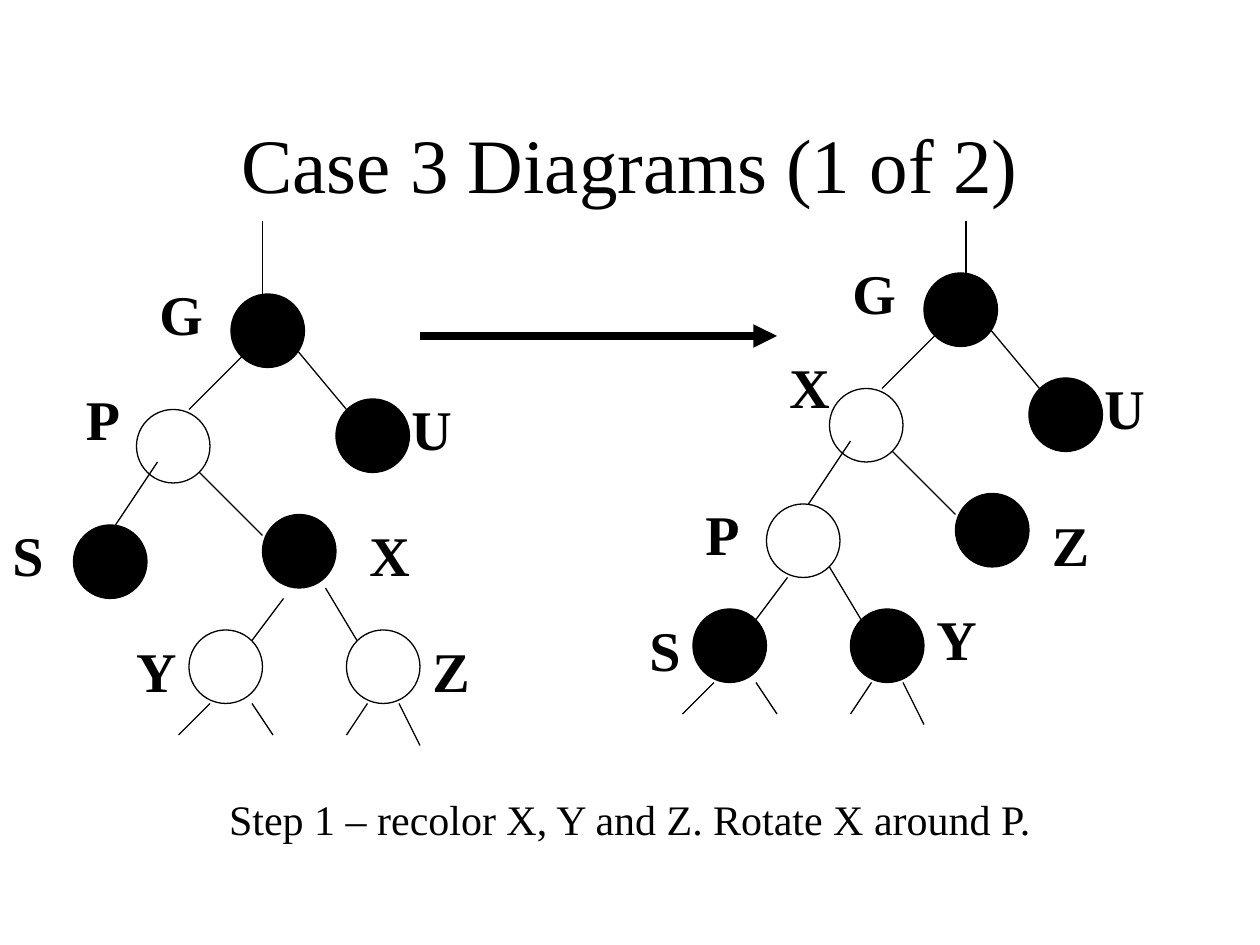
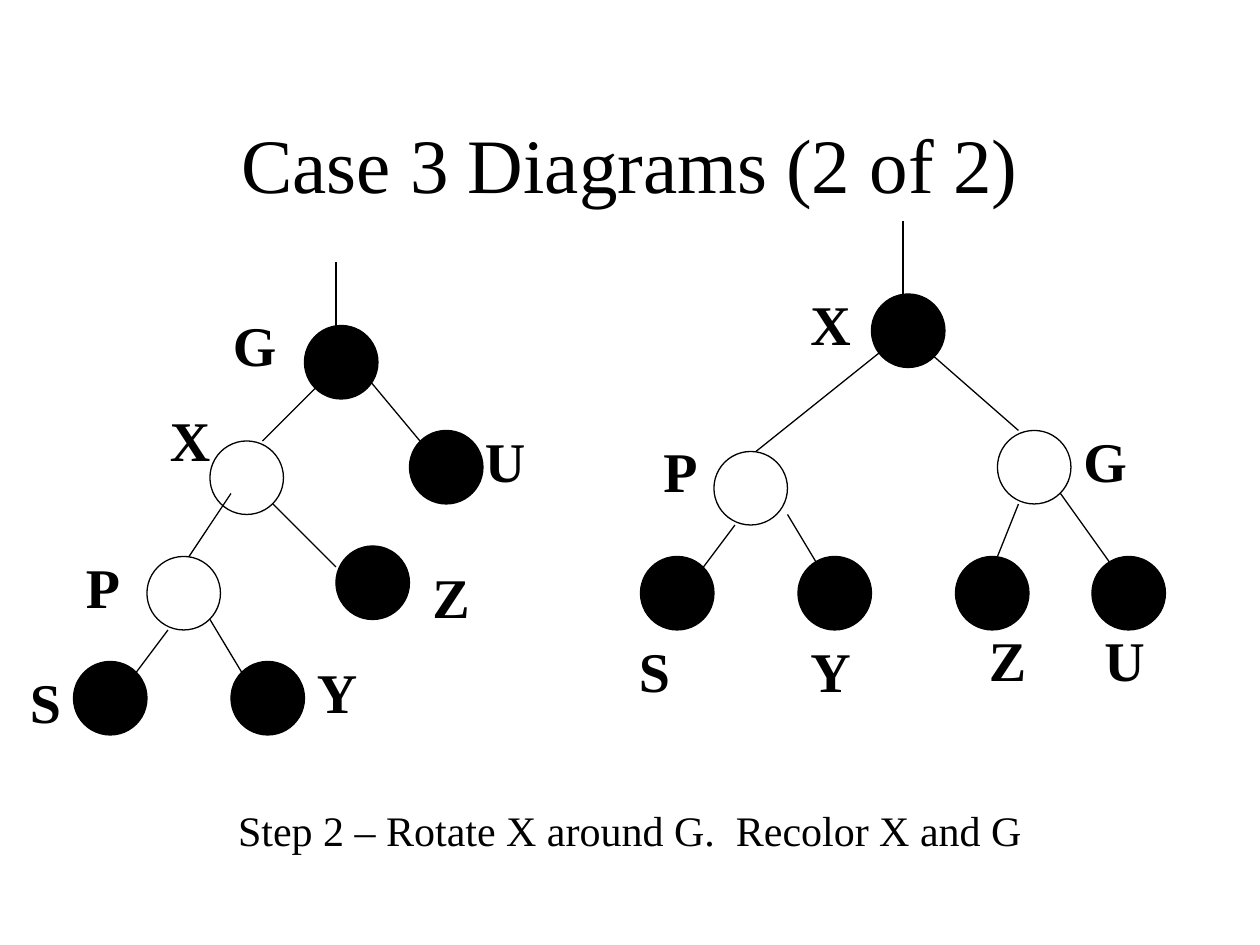
from lxml import etree
from pptx import Presentation
from pptx.dml.color import RGBColor
from pptx.enum import shapes, text
from pptx.oxml import ns
from pptx.util import Pt

BLACK = RGBColor(0x00, 0x00, 0x00)
WHITE = RGBColor(0xFF, 0xFF, 0xFF)
FONT = "Times New Roman"
LEFT, CENTER, RIGHT = text.PP_ALIGN.LEFT, text.PP_ALIGN.CENTER, text.PP_ALIGN.RIGHT
TITLE = {"size": Pt(44), "bold": False}
CAPTION = {"size": Pt(24), "bold": False}
LABEL = {"size": Pt(32), "bold": True}
NODE_SIZE = 7
LABEL_HEIGHT = 7.7

presentation = Presentation()
presentation.slide_width = Pt(720)
presentation.slide_height = Pt(540)
# The slide is a grid of 120 columns by 90 rows of square cells.
CELL = presentation.slide_width // 120


def add_text(slide, words, box, font, align, space_before=0):
    """Place one paragraph in a box given as column, row, columns, rows."""
    shape = slide.shapes.add_textbox(*(round(side * CELL) for side in box))
    frame = shape.text_frame
    frame.word_wrap = True
    paragraph = frame.paragraphs[0]
    paragraph.alignment = align
    paragraph.space_before = Pt(space_before)
    run = paragraph.add_run()
    run.text = words
    run.font.name = FONT
    run.font.color.rgb = BLACK
    for name, value in font.items():
        setattr(run.font, name, value)
    return frame


def add_line(slide, ends, width=0.75, arrow=False):
    """Draw a line from (column, row) to (column, row)."""
    line = slide.shapes.add_connector(
        shapes.MSO_CONNECTOR.STRAIGHT, *(end * CELL for end in ends))
    line.line.color.rgb = BLACK
    line.line.width = Pt(width)
    properties = line.element.spPr
    if arrow:
        outline = properties.find(ns.qn("a:ln"))
        etree.SubElement(outline, ns.qn("a:tailEnd"), type="triangle")
    etree.SubElement(properties, ns.qn("a:effectLst"))


# Nodes: name, fill, column, row, then label column, row and width.
# Edges: from column, row to column, row.
START_TREE = {
    "nodes": [
        ("G", BLACK, 22, 28, 14, 26, 7),
        ("P", WHITE, 13, 39, 7, 36, 7),
        ("U", BLACK, 32, 38, 38, 37, 7),
        ("S", BLACK, 7, 50, 0, 49, 7),
        ("X", BLACK, 25, 49, 34, 49, 6),
        ("Y", WHITE, 18, 60, 8, 60, 10),
        ("Z", WHITE, 33, 60, 40, 60, 7),
    ],
    "edges": [
        (18, 39, 23, 34), (28, 33, 33, 39), (11, 50, 15, 44),
        (19, 45, 25, 51), (27, 57, 24, 61), (31, 56, 34, 61),
    ],
}
ROTATED_TREE = {
    "nodes": [
        ("G", BLACK, 88, 26, 80, 24, 7),
        ("X", WHITE, 79, 37, 74, 33, 6),
        ("U", BLACK, 98, 36, 104, 35, 7),
        ("P", WHITE, 73, 48, 66, 47, 7),
        ("Z", BLACK, 91, 47, 99, 48, 7),
        ("S", BLACK, 66, 58, 56, 58, 10),
        ("Y", BLACK, 81, 58, 88, 57, 7),
    ],
    "edges": [
        (84, 37, 89, 32), (94, 31, 99, 37), (77, 48, 81, 42),
        (85, 43, 91, 49), (75, 55, 72, 59), (79, 54, 82, 59),
    ],
}
FINAL_TREE = {
    "nodes": [
        ("X", BLACK, 83, 28, 76, 27, 7),
        ("P", WHITE, 68, 43, 62, 41, 6),
        ("G", WHITE, 95, 41, 102, 40, 7),
        ("S", BLACK, 61, 53, 55, 60, 10),
        ("Y", BLACK, 76, 53, 76, 60, 7),
        ("Z", BLACK, 91, 53, 93, 59, 7),
        ("U", BLACK, 104, 53, 104, 59, 7),
    ],
    "edges": [
        (72, 43, 87, 31), (97, 41, 89, 34), (70, 50, 67, 54),
        (75, 49, 78, 54), (97, 48, 95, 53), (101, 47, 106, 54),
    ],
}
# Open branches below a pair of leaves, measured from the left leaf.
STUBS = [(2, 7, -1, 10), (6, 7, 8, 10), (17, 7, 15, 10), (20, 7, 22, 11)]

# Each tree is placed with its shift, its stem and the left leaf with stubs.
SLIDES = [
    {
        "title": "Case 3 Diagrams (1 of 2)",
        "caption": "Step 1 – recolor X, Y and Z. Rotate X around P.",
        "caption_box": (8, 75, 104, 6),
        "trees": [
            (START_TREE, (0, 0), (25, 28, 25, 21), (18, 60)),
            (ROTATED_TREE, (0, 0), (92, 26, 92, 21), (66, 58)),
        ],
        "arrow": (40, 32, 74, 32),
    },
    {
        "title": "Case 3 Diagrams (2 of 2)",
        "caption": "Step 2 – Rotate X around G.  Recolor X and G",
        "caption_box": (5, 76, 110, 6),
        "trees": [
            (ROTATED_TREE, (-59, 5), (32, 33, 32, 25), None),
            (FINAL_TREE, (0, 0), (86, 28, 86, 21), None),
        ],
        "arrow": None,
    },
]

for content in SLIDES:
    slide = presentation.slides.add_slide(presentation.slide_layouts[6])
    title = add_text(slide, content["title"], (9, 8, 102, 15), TITLE, CENTER)
    title.vertical_anchor = text.MSO_ANCHOR.MIDDLE

    for tree, (right, down), stem, stub_leaf in content["trees"]:
        for name, fill, column, row, label_column, label_row, width in tree["nodes"]:
            node = slide.shapes.add_shape(
                shapes.MSO_SHAPE.OVAL, (column + right) * CELL, (row + down) * CELL,
                NODE_SIZE * CELL, NODE_SIZE * CELL)
            node.shadow.inherit = False
            node.fill.solid()
            node.fill.fore_color.rgb = fill
            node.line.color.rgb = BLACK
            node.line.width = Pt(0.75)
            label_box = (label_column + right, label_row + down, width, LABEL_HEIGHT)
            label = add_text(slide, name, label_box, LABEL,
                             RIGHT if width == 10 else LEFT, space_before=20)
            label.auto_size = text.MSO_AUTO_SIZE.SHAPE_TO_FIT_TEXT

        for x1, y1, x2, y2 in tree["edges"]:
            add_line(slide, (x1 + right, y1 + down, x2 + right, y2 + down))
        add_line(slide, stem)
        if stub_leaf:
            column, row = stub_leaf
            for x1, y1, x2, y2 in STUBS:
                add_line(slide, (x1 + column, y1 + row, x2 + column, y2 + row))

    if content["arrow"]:
        add_line(slide, content["arrow"], width=4.5, arrow=True)
    caption = add_text(slide, content["caption"], content["caption_box"],
                       CAPTION, CENTER, space_before=15)
    caption.auto_size = text.MSO_AUTO_SIZE.SHAPE_TO_FIT_TEXT

presentation.save("out.pptx")
